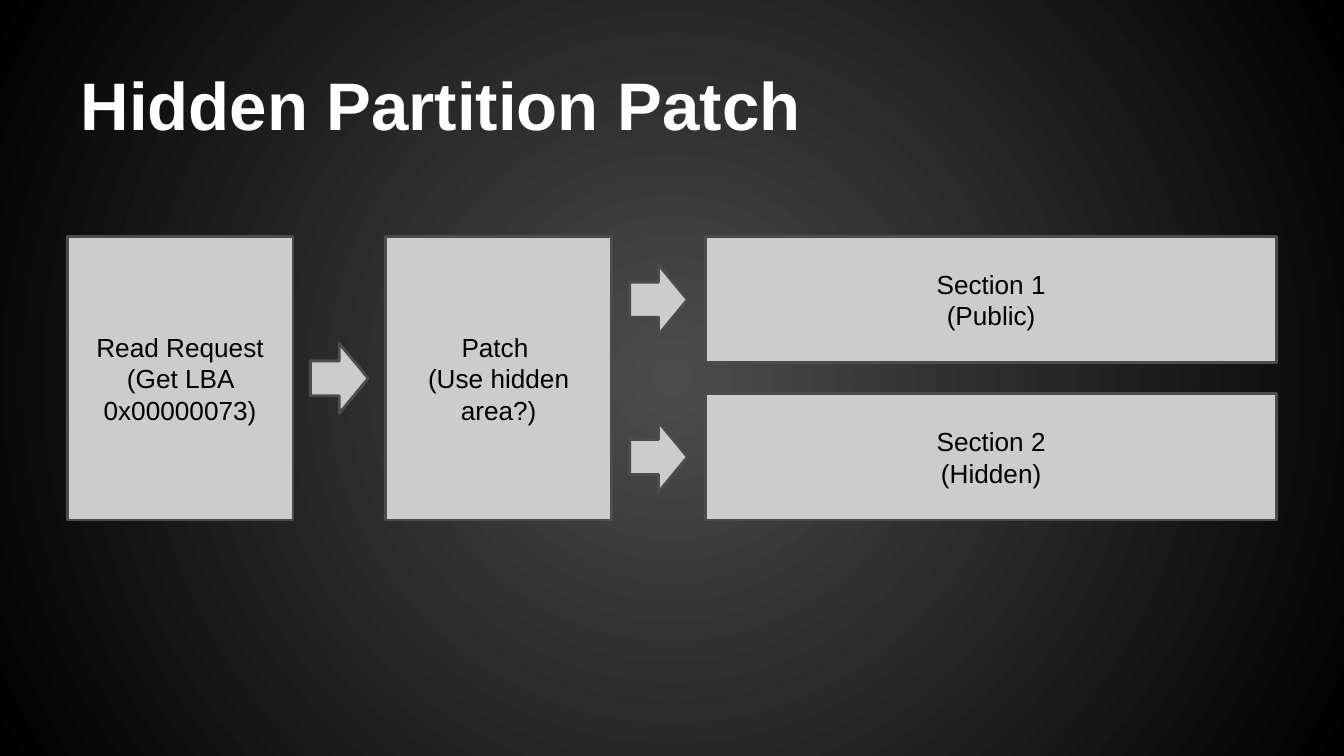
import pptx
import pptx.dml.color
import pptx.enum.shapes
import pptx.enum.text
import pptx.oxml
import pptx.oxml.ns
import pptx.util
from pptx.util import Inches

TITLE = "Hidden Partition Patch"
# name: (lines, left, top, width, height) in inches
BOXES = {
    "request": (["Read Request", "(Get LBA 0x00000073)"], 0.5, 1.76, 1.68, 2.11),
    "patch": (["Patch ", "(Use hidden area?)"], 2.87, 1.76, 1.68, 2.11),
    "public": (["Section 1", "(Public)"], 5.25, 1.76, 4.25, 0.94),
    "hidden": (["Section 2", "(Hidden)"], 5.25, 2.93, 4.25, 0.94),
}
FLOWS = [("request", "patch"), ("patch", "public"), ("patch", "hidden")]
ARROW_WIDTH, ARROW_HEIGHT = 0.43, 0.52
SLIDE_WIDTH = 10
SLIDE_HEIGHT = SLIDE_WIDTH * 9 / 16
COLORS = {"center": "4C4C4C", "edge": "000000", "fill": "CCCCCC",
          "line": "4C4C4C", "title": "FFFFFF", "text": "000000"}
FRAME = {"word_wrap": True, "auto_size": pptx.enum.text.MSO_AUTO_SIZE.NONE,
         **{f"margin_{side}": Inches(0.1) for side in ("left", "top", "right", "bottom")}}
TITLE_FONT = {"name": "Arial", "size": pptx.util.Pt(36), "bold": True}
BOX_FONT = {"name": "Arial", "size": pptx.util.Pt(14)}


def color(name):
    return pptx.dml.color.RGBColor.from_string(COLORS[name])


def set_values(target, values):
    for name, value in values.items():
        setattr(target, name, value)


def write_text(shape, lines, font, color_name, alignment, anchor):
    frame = shape.text_frame
    set_values(frame, {**FRAME, "vertical_anchor": anchor})
    frame.text = "\n".join(lines)
    for paragraph in frame.paragraphs:
        paragraph.alignment = alignment
        set_values(paragraph.runs[0].font, font)
        paragraph.runs[0].font.color.rgb = color(color_name)


def paint_background(slide):
    """Fill the slide with a gradient that spreads from its center."""
    fill = slide.background.fill
    fill.gradient()
    for stop, name, position in zip(fill.gradient_stops, ("center", "edge"), (0, 1)):
        stop.color.rgb = color(name)
        stop.position = position
    linear = slide.element.find(".//" + pptx.oxml.ns.qn("a:lin"))
    circle = pptx.oxml.parse_xml(
        f'<a:path {pptx.oxml.ns.nsdecls("a")} path="circle">'
        '<a:fillToRect l="50000" t="50000" r="50000" b="50000"/></a:path>')
    linear.getparent().replace(linear, circle)


def add_gray_shape(slide, kind, *place):
    shape = slide.shapes.add_shape(kind, *map(Inches, place))
    shape.shadow.inherit = False
    shape.fill.solid()
    shape.fill.fore_color.rgb = color("fill")
    shape.line.color.rgb = color("line")
    shape.line.width = pptx.util.Pt(1.5)
    return shape


def add_flow_arrow(slide, source, target):
    """Center an arrow in the gap before the target box."""
    _, source_left, _, source_width, _ = BOXES[source]
    _, target_left, target_top, _, target_height = BOXES[target]
    center_x = (source_left + source_width + target_left) / 2
    center_y = target_top + target_height / 2
    add_gray_shape(slide, pptx.enum.shapes.MSO_SHAPE.RIGHT_ARROW,
                   center_x - ARROW_WIDTH / 2, center_y - ARROW_HEIGHT / 2,
                   ARROW_WIDTH, ARROW_HEIGHT)


def main():
    align, anchor = pptx.enum.text.PP_ALIGN, pptx.enum.text.MSO_ANCHOR
    presentation = pptx.Presentation()
    presentation.slide_width = Inches(SLIDE_WIDTH)
    presentation.slide_height = Inches(SLIDE_HEIGHT)
    slide = presentation.slides.add_slide(presentation.slide_layouts[5])
    paint_background(slide)

    title = slide.shapes.title
    set_values(title, {"left": Inches(0.5), "top": Inches(0.23),
                       "width": Inches(9), "height": Inches(0.94)})
    write_text(title, [TITLE], TITLE_FONT, "title", align.LEFT, anchor.BOTTOM)

    for lines, *place in BOXES.values():
        box = add_gray_shape(slide, pptx.enum.shapes.MSO_SHAPE.RECTANGLE, *place)
        write_text(box, lines, BOX_FONT, "text", align.CENTER, anchor.MIDDLE)
    for source, target in FLOWS:
        add_flow_arrow(slide, source, target)
    presentation.save("out.pptx")


if __name__ == "__main__":
    main()
